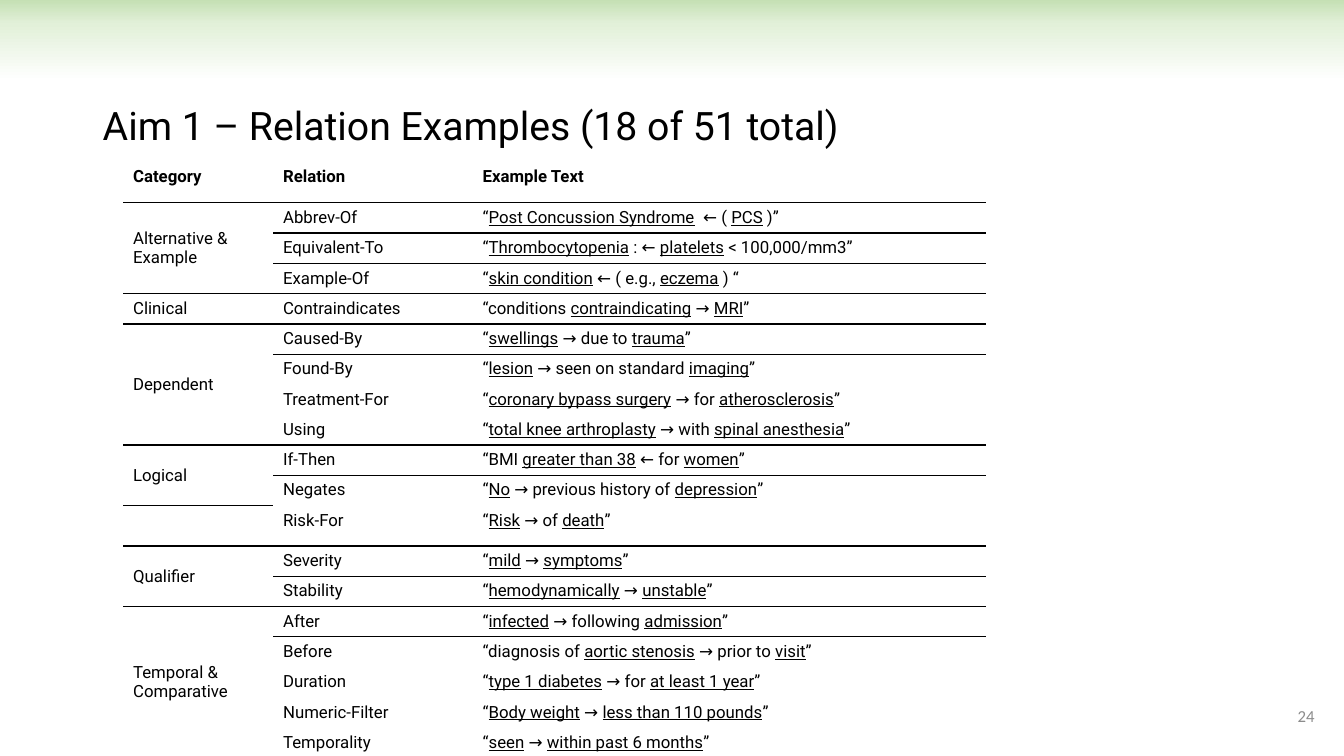
from copy import deepcopy
from lxml import etree
from pptx import Presentation
from pptx.dml.color import RGBColor
from pptx.enum import shapes, text
from pptx.oxml.ns import qn
from pptx.util import Cm, Pt

THEME = {
    "font": "Roboto", "num_font": "Calibri",
    "ink": "000000", "gray": "8C8C8C",
    "fade": [(0, "C5E0B4"), (0.3, "E2F0D9"), (1, "FFFFFF")],
    "title": 28, "body": 12, "rule": 1,
}
TITLE = "Aim 1 – Relation Examples (18 of 51 total)"
PAGE = "24"
HEAD = ["Category", "Relation", "Example Text"]
GROUPS = [
    ("Alternative &\nExample", 3, [
        ("Abbrev-Of", "“_Post Concussion Syndrome_  ← ( _PCS_ )”"),
        ("Equivalent-To", "“_Thrombocytopenia_ : ← _platelets_ < 100,000/mm3”"),
        ("Example-Of", "“_skin condition_ ← ( e.g., _eczema_ ) “"),
    ]),
    ("Clinical", 1, [
        ("Contraindicates", "“conditions _contraindicating_ → _MRI_”"),
    ]),
    ("Dependent", 4, [
        ("Caused-By", "“_swellings_ → due to _trauma_”"),
        ("Found-By", "“_lesion_ → seen on standard _imaging_”"),
        ("Treatment-For", "“_coronary bypass surgery_ → for _atherosclerosis_”"),
        ("Using", "“_total knee arthroplasty_ → with _spinal anesthesia_”"),
    ]),
    ("Logical", 2, [
        ("If-Then", "“BMI _greater than 38_ ← for _women_”"),
        ("Negates", "“_No_ → previous history of _depression_”"),
        ("Risk-For", "“_Risk_ → of _death_”"),
    ]),
    ("Qualifier", 2, [
        ("Severity", "“_mild_ → _symptoms_”"),
        ("Stability", "“_hemodynamically_ → _unstable_”"),
    ]),
    ("Temporal &\nComparative", 5, [
        ("After", "“_infected_ → following _admission_”"),
        ("Before", "“diagnosis of _aortic stenosis_ → prior to _visit_”"),
        ("Duration", "“_type 1 diabetes_ → for _at least 1 year_”"),
        ("Numeric-Filter", "“_Body weight_ → _less than 110 pounds_”"),
        ("Temporality", "“_seen_ → _within past 6 months_”"),
    ]),
]
COLS = [3.78, 5.03, 12.93]
HEAD_H, ROW_H = 1.02, 0.76
PLAIN = "{2D5ABB26-0587-4C30-8999-92F81FD0307C}"


def write(frame, words, size=THEME["body"], font=THEME["font"],
          color=THEME["ink"], bold=False, align=text.PP_ALIGN.LEFT):
    for n, line in enumerate(words.split("\n")):
        para = frame.add_paragraph() if n else frame.paragraphs[0]
        para.alignment = align
        for k, part in enumerate(line.split("_")):
            if not part:
                continue
            run = para.add_run()
            run.text = part
            run.font.size = Pt(size)
            run.font.name = font
            run.font.bold = bold
            run.font.underline = k % 2 == 1
            run.font.color.rgb = RGBColor.from_string(color)


def add_box(slide, words, left, top, wide, high, **form):
    frame = slide.shapes.add_textbox(Cm(left), Cm(top), Cm(wide), Cm(high)).text_frame
    frame.word_wrap = True
    frame.vertical_anchor = text.MSO_ANCHOR.MIDDLE
    write(frame, words, **form)


def add_band(slide, wide):
    band = slide.shapes.add_shape(
        shapes.MSO_SHAPE.RECTANGLE, 0, 0, wide, Cm(2.03))
    band.shadow.inherit = False
    band.line.fill.background()
    band.fill.gradient()
    band.fill.gradient_angle = 270
    stops = band.fill._fill._gradFill.find(qn("a:gsLst"))
    stops.append(deepcopy(stops[0]))
    for stop, (at, color) in zip(band.fill.gradient_stops, THEME["fade"]):
        stop.position = at
        stop.color.rgb = RGBColor.from_string(color)


def edge(cell, side):
    line = etree.Element(qn("a:" + side), w=str(Pt(THEME["rule"])))
    fill = etree.SubElement(line, qn("a:solidFill"))
    etree.SubElement(fill, qn("a:srgbClr"), val=THEME["ink"])
    cell._tc.get_or_add_tcPr().insert(0, line)


def add_grid(slide):
    rows = [HEAD] + [["", *pair] for group in GROUPS for pair in group[2]]
    high = HEAD_H + ROW_H * (len(rows) - 1)
    frame = slide.shapes.add_table(
        len(rows), len(COLS), Cm(3.1), Cm(4.09), Cm(sum(COLS)), Cm(high))
    grid = frame.table
    grid.first_row = grid.horz_banding = False
    grid._tbl.tblPr.find(qn("a:tableStyleId")).text = PLAIN
    for col, wide in zip(grid.columns, COLS):
        col.width = Cm(wide)

    rules = {1: 0, 2: 1}
    start = 1
    for name, span, pairs in GROUPS:
        rules[start] = 0
        rows[start][0] = name
        start += len(pairs)

    for r, row in enumerate(rows):
        grid.rows[r].height = Cm(ROW_H if r else HEAD_H)
        for c, words in enumerate(row):
            cell = grid.cell(r, c)
            cell.fill.background()
            write(cell.text_frame, words, bold=r == 0)
            if c >= rules.get(r + 1, len(COLS)):
                edge(cell, "lnB")
            if c >= rules.get(r, len(COLS)):
                edge(cell, "lnT")

    start = 1
    for name, span, pairs in GROUPS:
        cell = grid.cell(start, 0)
        cell.vertical_anchor = text.MSO_ANCHOR.MIDDLE
        if span > 1:
            cell.merge(grid.cell(start + span - 1, 0))
        start += len(pairs)


def main():
    deck = Presentation()
    deck.slide_width, deck.slide_height = Cm(33.87), Cm(19.05)
    slide = deck.slides.add_slide(deck.slide_layouts[6])
    add_band(slide, deck.slide_width)
    add_box(slide, PAGE, 25.76, 17.53, 7.62, 1.02, font=THEME["num_font"],
            color=THEME["gray"], align=text.PP_ALIGN.RIGHT)
    add_box(slide, TITLE, 2.34, 2.41, 22.81, 1.45, size=THEME["title"])
    add_grid(slide)
    deck.save("out.pptx")


if __name__ == "__main__":
    main()
